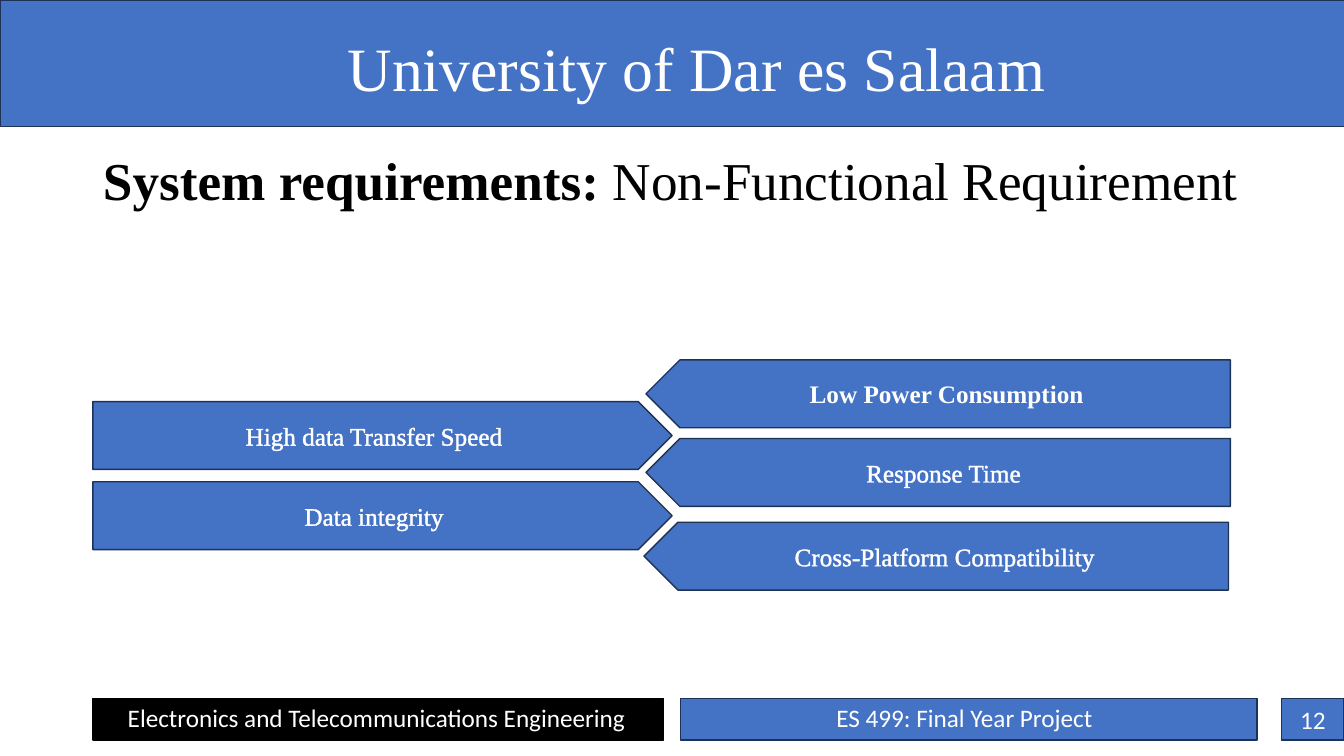
from lxml.etree import SubElement
from pptx import Presentation
from pptx.dml.color import RGBColor
from pptx.enum.shapes import MSO_SHAPE
from pptx.enum.text import MSO_ANCHOR, MSO_AUTO_SIZE, PP_ALIGN
from pptx.oxml import parse_xml
from pptx.oxml.ns import nsdecls, qn
from pptx.util import Cm, Pt

COLORS = {"blue": "4472C4", "edge": "1E3256", "black": "000000", "white": "FFFFFF"}
SERIF, SANS = "Times New Roman", "Calibri"


def rgb(name):
    return RGBColor.from_string(COLORS[name])


class SlideBuilder:
    def __init__(self, slide):
        self.slide = slide

    def add_run(self, p, text, color="white", outlined=False, **formats):
        r = p.add_run()
        r.text = text
        for name, value in formats.items():
            setattr(r.font, name, value)
        r.font.color.rgb = rgb(color)
        if outlined:
            ln = parse_xml(f'<a:ln {nsdecls("a")} w="{Pt(0.75)}"/>')
            fill = SubElement(ln, qn("a:solidFill"))
            SubElement(fill, qn("a:srgbClr"), val=COLORS[color])
            r.font._element.insert(0, ln)

    def title(self, box, parts):
        """Fill the title placeholder with (text, bold) parts."""
        sp = self.slide.shapes.title
        sp.left, sp.top, sp.width, sp.height = map(Cm, box)
        tf = sp.text_frame
        tf.auto_size = MSO_AUTO_SIZE.NONE
        tf.vertical_anchor = MSO_ANCHOR.MIDDLE
        p = tf.paragraphs[0]
        p.alignment = PP_ALIGN.LEFT
        p.line_spacing = 0.9
        for text, bold in parts:
            self.add_run(p, text, "black", name=SERIF, size=Pt(38), bold=bold)

    def text(self, box, text, wrap=True, **formats):
        sp = self.slide.shapes.add_textbox(*map(Cm, box))
        tf = sp.text_frame
        tf.word_wrap = wrap
        tf.auto_size = MSO_AUTO_SIZE.SHAPE_TO_FIT_TEXT
        self.add_run(tf.paragraphs[0], text, **formats)

    def shape(self, box, kind=MSO_SHAPE.RECTANGLE, fill="blue", line="edge", weight=1):
        sp = self.slide.shapes.add_shape(kind, *map(Cm, box))
        sp.shadow.inherit = False
        sp.fill.solid()
        sp.fill.fore_color.rgb = rgb(fill)
        sp.line.color.rgb = rgb(line)
        sp.line.width = Pt(weight)
        return sp

    def label(self, sp, text, **formats):
        """Write centred text inside a shape."""
        tf = sp.text_frame
        tf.vertical_anchor = MSO_ANCHOR.MIDDLE
        p = tf.paragraphs[0]
        p.alignment = PP_ALIGN.CENTER
        self.add_run(p, text, size=Pt(18), **formats)

    def arrow(self, box, text, to_left=False, bold=False):
        sp = self.shape(box, MSO_SHAPE.PENTAGON)
        if to_left:
            sp._element.spPr.xfrm.set("flipH", "1")
        self.label(sp, text, name=SERIF, bold=bold, outlined=not bold)


def main():
    prs = Presentation()
    prs.slide_width, prs.slide_height = Cm(33.87), Cm(19.05)
    s = SlideBuilder(prs.slides.add_slide(prs.slide_layouts[5]))

    s.shape((0, 0, 33.87, 3.18), weight=0.25)
    s.text((8.51, 0.63, 19.79, 2), "University of Dar es Salaam", name=SERIF, size=Pt(44))
    s.title((2.34, 3.38, 29.21, 2.49),
            [("System requirements: ", True), ("Non-Functional Requirement", False)])

    footer_top, footer_height = 17.6, 1.05
    s.shape((2.34, footer_top, 14.38, footer_height), fill="black", line="black")
    s.shape((17.15, footer_top, 14.53, footer_height))
    number = s.shape((32.3, footer_top, 1.57, footer_height))
    s.label(number, "12", name=SANS)
    for left, width, text, wrap in (
        (2.97, 13.13, "Electronics and Telecommunications Engineering", True),
        (20.83, 7.04, "ES 499: Final Year Project", False),
    ):
        s.text((left, 17.58, width, 1.02), text, wrap, name=SANS, size=Pt(18))

    arrow_height = 1.71
    for top, text in ((10.12, "High data Transfer Speed"), (12.14, "Data integrity")):
        s.arrow((2.34, top, 14.6, arrow_height), text)
    for left, top, text, bold in (
        (16.28, 9.07, "Low Power Consumption", True),
        (16.28, 11.05, "Response Time ", False),
        (16.23, 13.16, "Cross-Platform Compatibility", False),
    ):
        s.arrow((left, top, 14.73, arrow_height), text, to_left=True, bold=bold)

    prs.save("out.pptx")


if __name__ == "__main__":
    main()
